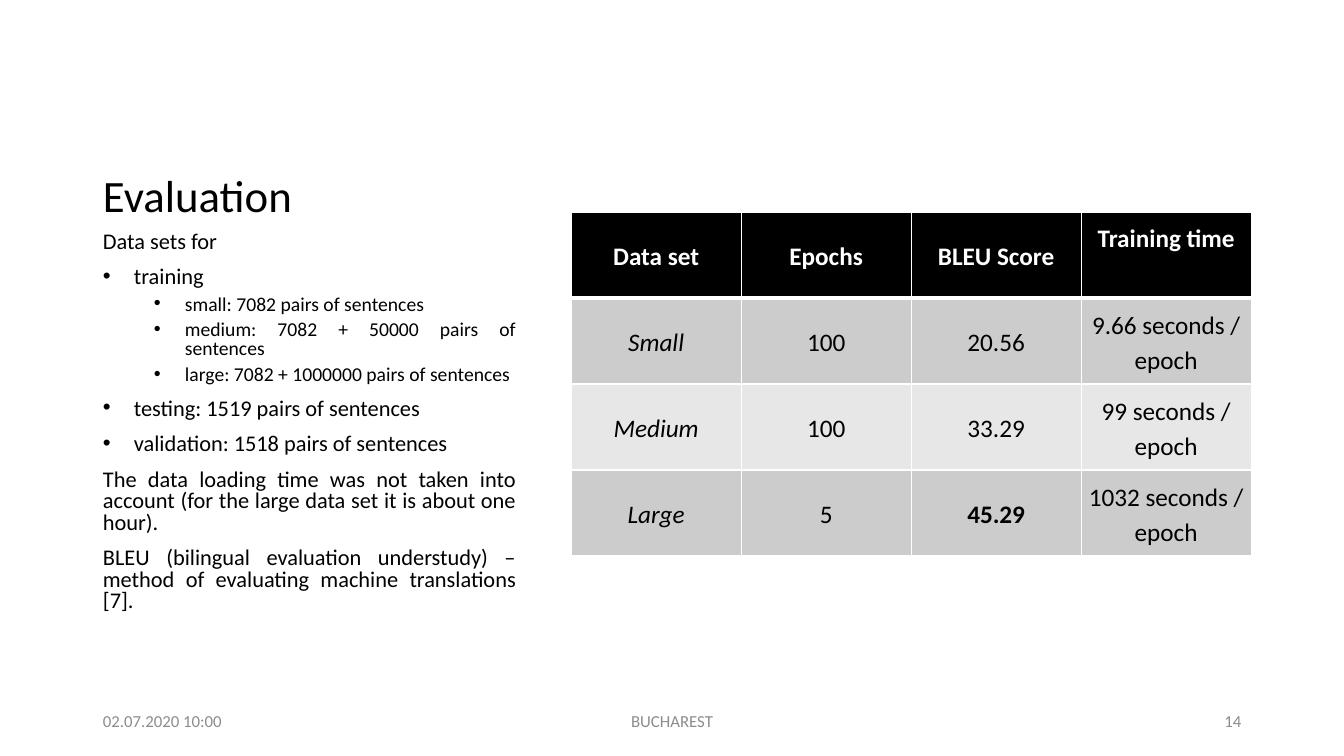
from pptx import Presentation, util as u
from pptx.dml.color import RGBColor
from pptx.enum import text as t
from lxml import etree

# Content
TITLE = "Evaluation"
BODY = [  # level (None = no bullet), text
    (None, "Data sets for"),
    (0, "training"),
    (1, "small: 7082 pairs of sentences"),
    (1, "medium: 7082 + 50000 pairs of sentences"),
    (1, "large: 7082 + 1000000 pairs of sentences"),
    (0, "testing: 1519 pairs of sentences"),
    (0, "validation: 1518 pairs of sentences"),
    (None, "The data loading time was not taken into account "
           "(for the large data set it is about one hour)."),
    (None, "BLEU (bilingual evaluation understudy) – method of "
           "evaluating machine translations [7]."),
]
ROWS = [
    ("Data set", "Epochs", "BLEU Score", "Training time"),
    ("Small", "100", "20.56", "9.66 seconds / epoch"),
    ("Medium", "100", "33.29", "99 seconds / epoch"),
    ("Large", "5", "45.29", "1032 seconds / epoch"),
]
BEST = "45.29"
LEFT, MID, RIGHT = t.PP_ALIGN.LEFT, t.PP_ALIGN.CENTER, t.PP_ALIGN.RIGHT
FOOT = [  # left, width, alignment, text
    (93, 302, LEFT, "02.07.2020 10:00"),
    (445, 454, MID, "BUCHAREST"),
    (949, 302, RIGHT, "14"),
]

# Format
BLACK = RGBColor(0, 0, 0)
WHITE = RGBColor(255, 255, 255)
GREY = RGBColor(0x8C, 0x8C, 0x8C)
DARK = RGBColor(0xCC, 0xCC, 0xCC)
PALE = RGBColor(0xE7, 0xE7, 0xE7)
FONT = "Calibri"
NS = "http://schemas.openxmlformats.org/drawingml/2006/main"
PX = 914400 / 100.8


def px(n):
    return u.Emu(round(n * PX))


def node(parent, tag, **attrs):
    return etree.SubElement(parent, f"{{{NS}}}{tag}", attrs)


def write(para, words, size, color=BLACK, bold=False, italic=False, **form):
    for key, val in form.items():
        setattr(para, key, val)
    run = para.add_run()
    run.text = words
    look = dict(name=FONT, size=u.Pt(size), bold=bold, italic=italic)
    for key, val in look.items():
        setattr(run.font, key, val)
    run.font.color.rgb = color


def box(x, y, w, h, anchor):
    frame = slide.shapes.add_textbox(px(x), px(y), px(w), px(h)).text_frame
    frame.word_wrap = True
    frame.vertical_anchor = anchor
    return frame


def edge(cell, head):
    props = cell._tc.get_or_add_tcPr()
    for i, side in enumerate("LRTB"):
        thick = 3 if head and side == "B" else 1
        line = node(props, f"ln{side}", w=str(u.Pt(thick)))
        node(node(line, "solidFill"), "srgbClr", val=str(WHITE))
        props.insert(i, line)


deck = Presentation()
deck.slide_width, deck.slide_height = u.Inches(13.33), u.Inches(7.5)
slide = deck.slides.add_slide(deck.slide_layouts[6])

# Title
frame = box(93, 50, 433, 177, t.MSO_ANCHOR.BOTTOM)
write(frame.paragraphs[0], TITLE, 32, line_spacing=0.9)

# Table
SIDE, HIGH, PAD = 170, 86, 7
grid = slide.shapes.add_table(len(ROWS), len(ROWS[0]), px(571), px(212),
                              px(SIDE * 4), px(HIGH * 4)).table
for col in grid.columns:
    col.width = px(SIDE)
for r, row in enumerate(ROWS):
    grid.rows[r].height = px(HIGH)
    head = r == 0
    for c, words in enumerate(row):
        cell = grid.cell(r, c)
        for side in ("left", "right", "top", "bottom"):
            setattr(cell, f"margin_{side}", px(PAD))
        raised = head and c == len(row) - 1
        cell.vertical_anchor = t.MSO_ANCHOR.TOP if raised else t.MSO_ANCHOR.MIDDLE
        cell.fill.solid()
        cell.fill.fore_color.rgb = BLACK if head else (PALE, DARK)[r % 2]
        edge(cell, head)
        write(cell.text_frame.paragraphs[0], words, 18, WHITE if head else BLACK,
              bold=head or words == BEST, italic=not head and c == 0,
              alignment=MID, line_spacing=1.15)

# Body
frame = box(93, 227, 433, 420, t.MSO_ANCHOR.TOP)
for i, (level, words) in enumerate(BODY):
    para = frame.add_paragraph() if i else frame.paragraphs[0]
    sub = level == 1
    write(para, words, 14 if sub else 16, alignment=t.PP_ALIGN.JUSTIFY,
          line_spacing=0.8, space_before=u.Pt(5 if sub else 10), level=level or 0)
    if level is not None:
        props = para._p.get_or_add_pPr()
        props.set("marL", str(px(82 if sub else 31)))
        props.set("indent", str(px(-31)))
        node(props, "buFont", typeface="Arial")
        node(props, "buChar", char="•")

# Footer
for x, w, side, words in FOOT:
    frame = box(x, 701, w, 40, t.MSO_ANCHOR.MIDDLE)
    write(frame.paragraphs[0], words, 12, GREY, alignment=side)

deck.save("out.pptx")
